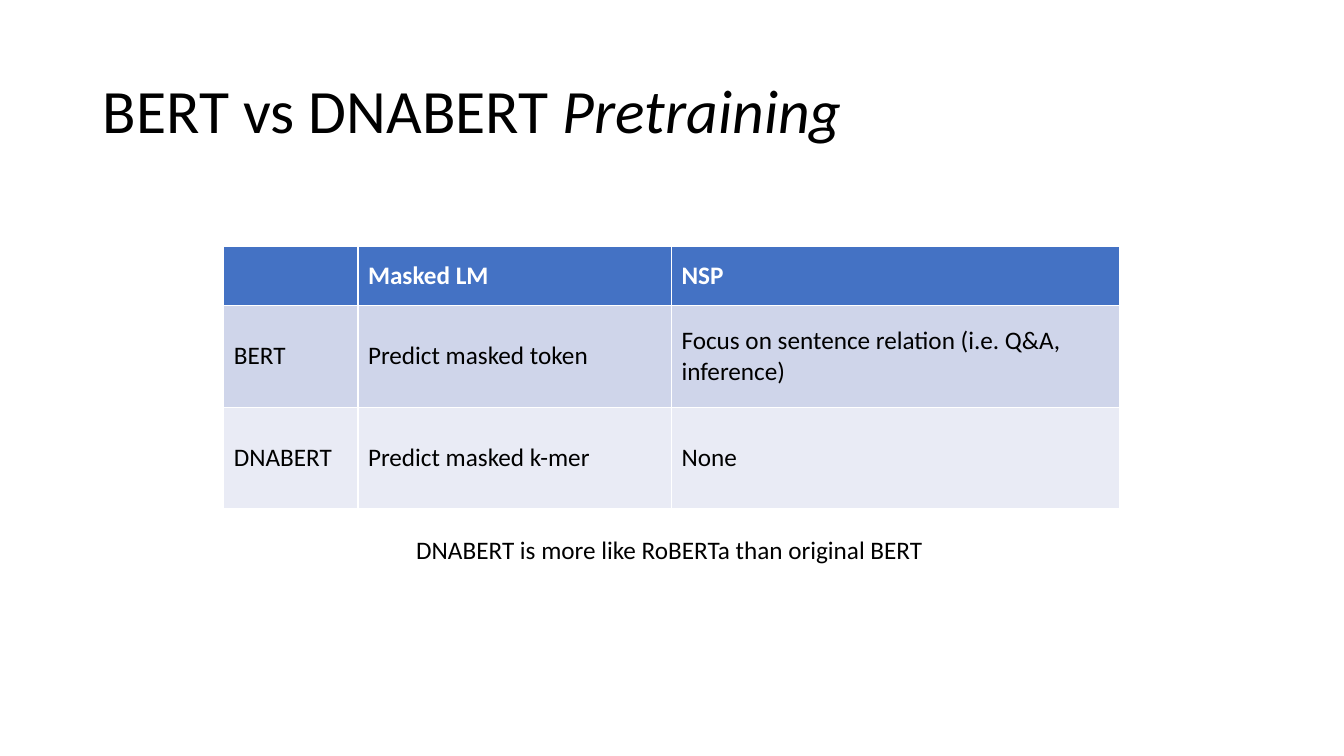
from pptx import Presentation
from pptx.dml.color import RGBColor
from pptx.enum.text import MSO_ANCHOR, PP_ALIGN
from pptx.util import Inches, Pt

MIDDLE = MSO_ANCHOR.MIDDLE
LEFT = PP_ALIGN.LEFT

TITLE_RUNS = [("BERT vs DNABERT ", False), ("Pretraining", True)]
COMPARISON = [
    ("", "Masked LM", "NSP"),
    ("BERT", "Predict masked token", "Focus on sentence relation (i.e. Q&A, inference)"),
    ("DNABERT", "Predict masked k-mer", "None"),
]
TAKEAWAY = "DNABERT is more like RoBERTa than original BERT"

COLUMN_WIDTHS = [1.33, 3.11, 4.44]
ROW_HEIGHTS = [0.59, 1.01, 1.01]
ROW_FILLS = ["4472C4", "CFD5EA", "E9EBF5"]
BLACK, WHITE = "000000", "FFFFFF"


def color(hex_code):
    return RGBColor.from_string(hex_code)


def format_font(font, size, hex_code, bold=False, italic=False):
    font.name = "Calibri"
    font.size = Pt(size)
    font.color.rgb = color(hex_code)
    font.bold = bold
    font.italic = italic


def add_title(slide):
    title = slide.shapes.title
    title.left, title.top = Inches(0.92), Inches(0.4)
    title.width, title.height = Inches(11.5), Inches(1.45)
    title.text_frame.vertical_anchor = MIDDLE
    heading = title.text_frame.paragraphs[0]
    heading.alignment = LEFT
    heading.line_spacing = 0.9
    for words, italic in TITLE_RUNS:
        run = heading.add_run()
        run.text = words
        format_font(run.font, 44, BLACK, italic=italic)


def add_comparison(slide):
    """Add the table; its default style supplies the white cell borders."""
    table = slide.shapes.add_table(
        len(ROW_HEIGHTS), len(COLUMN_WIDTHS), Inches(2.22), Inches(2.44),
        Inches(sum(COLUMN_WIDTHS)), Inches(sum(ROW_HEIGHTS))).table
    for column, width in zip(table.columns, COLUMN_WIDTHS):
        column.width = Inches(width)
    for r, (row, height) in enumerate(zip(table.rows, ROW_HEIGHTS)):
        row.height = Inches(height)
        is_header = r == 0
        for cell, words in zip(row.cells, COMPARISON[r]):
            cell.fill.solid()
            cell.fill.fore_color.rgb = color(ROW_FILLS[r])
            cell.vertical_anchor = MIDDLE
            cell.text_frame.text = words
            format_font(cell.text_frame.paragraphs[0].font, 18,
                        WHITE if is_header else BLACK, bold=is_header)
            for run in cell.text_frame.paragraphs[0].runs:
                format_font(run.font, 18, WHITE if is_header else BLACK, bold=is_header)


def add_takeaway(slide):
    takeaway = slide.shapes.add_textbox(
        Inches(4.03), Inches(5.25), Inches(5.28), Inches(0.4)).text_frame
    takeaway.word_wrap = False
    takeaway.text = TAKEAWAY
    format_font(takeaway.paragraphs[0].runs[0].font, 18, BLACK)


def main():
    deck = Presentation()
    deck.slide_width, deck.slide_height = Inches(13.33), Inches(7.5)
    slide = deck.slides.add_slide(deck.slide_layouts[5])
    add_title(slide)
    add_comparison(slide)
    add_takeaway(slide)
    deck.save("out.pptx")


if __name__ == "__main__":
    main()
